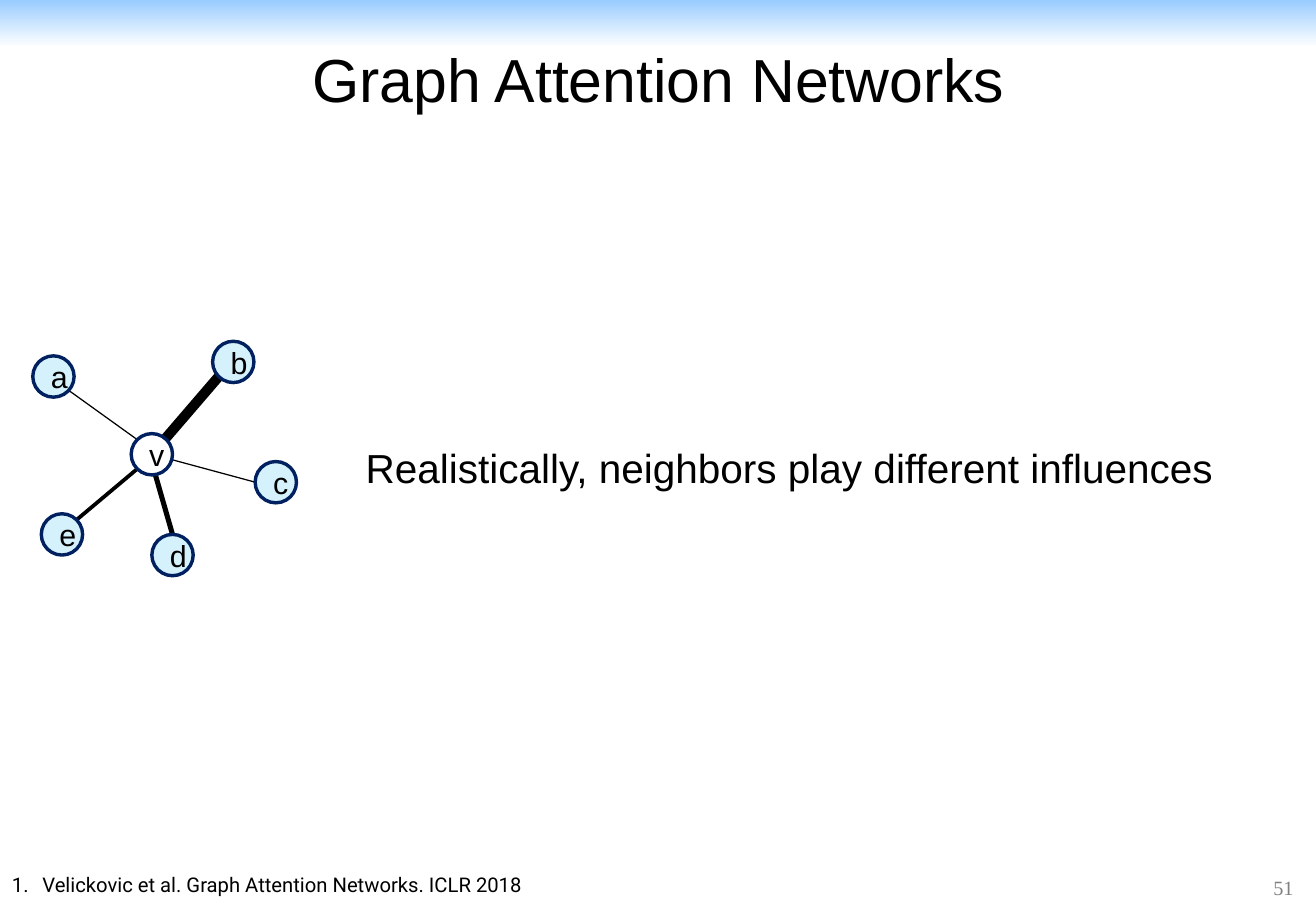
from pptx import Presentation, util as u
from pptx.dml.color import RGBColor
from pptx.enum import shapes, text
from pptx.oxml.ns import qn
from lxml import etree

HUES = {"ink": "000000", "paper": "FFFFFF", "sky": "99CCFF",
        "node": "00B0F0", "rim": "002060", "gray": "808080"}
SIZE = 0.34

# Neighbors: name, left, top
NODES = [("a", 0.27, 2.93), ("e", 0.34, 4.23), ("b", 1.75, 2.81),
         ("d", 1.25, 4.4), ("c", 2.1, 3.8)]
# Links: start, end, weight in points
LINKS = [((1.13, 3.62), (0.56, 3.21), 0.75),
         ((1.13, 3.86), (0.63, 4.28), 2.25),
         ((1.25, 3.74), (1.8, 3.1), 6),
         ((1.42, 4.4), (1.23, 3.74), 3),
         ((2.1, 3.97), (1.25, 3.74), 0.75)]


def hue(name):
    return RGBColor.from_string(HUES[name])


def inches(*nums):
    return [u.Inches(n) for n in nums]


def write(frame, words, size=18, font="Arial", ink="ink", center=False,
          middle=False, wrap=True, number=False):
    frame.word_wrap = wrap
    frame.vertical_anchor = (text.MSO_ANCHOR.MIDDLE if middle
                             else text.MSO_ANCHOR.TOP)
    para = frame.paragraphs[0]
    para.alignment = text.PP_ALIGN.CENTER if center else text.PP_ALIGN.LEFT
    if number:
        props = para._p.get_or_add_pPr()
        props.set("marL", str(u.Inches(0.25)))
        props.set("indent", str(u.Inches(-0.25)))
        etree.SubElement(props, qn("a:buAutoNum"), type="arabicPeriod")
    run = para.add_run()
    run.text = words
    run.font.size = u.Pt(size)
    run.font.name = font
    run.font.color.rgb = hue(ink)


def label(slide, box, words, **style):
    write(slide.shapes.add_textbox(*inches(*box)).text_frame, words, **style)


def band(slide):
    bar = slide.shapes.add_shape(shapes.MSO_SHAPE.RECTANGLE,
                                 *inches(0, 0, 10.83, 0.39))
    bar.shadow.inherit = False
    bar.line.fill.background()
    bar.fill.gradient()
    bar.fill.gradient_angle = 270
    for stop, name, place in zip(bar.fill.gradient_stops,
                                 ("sky", "paper"), (0, 1)):
        stop.color.rgb = hue(name)
        stop.position = place


def link(slide, start, end, weight):
    line = slide.shapes.add_connector(shapes.MSO_CONNECTOR.STRAIGHT,
                                      *inches(*start, *end))
    line.line.color.rgb = hue("ink")
    line.line.width = u.Pt(weight)
    etree.SubElement(line._element.spPr, qn("a:effectLst"))


def node(slide, name, left, top, fill="node", alpha=17):
    disc = slide.shapes.add_shape(shapes.MSO_SHAPE.OVAL,
                                  *inches(left, top, SIZE, SIZE))
    disc.shadow.inherit = False
    disc.fill.solid()
    disc.fill.fore_color.rgb = hue(fill)
    if alpha < 100:
        tint = disc._element.spPr.find(qn("a:solidFill"))[0]
        etree.SubElement(tint, qn("a:alpha"), val=str(alpha * 1000))
    disc.line.color.rgb = hue("rim")
    disc.line.width = u.Pt(2)
    write(disc.text_frame, name, center=True, middle=True)


def main():
    deck = Presentation()
    deck.slide_width, deck.slide_height = inches(10.83, 7.5)
    slide = deck.slides.add_slide(deck.slide_layouts[6])

    # Header and page number
    band(slide)
    label(slide, (10.38, 7.06, 0.79, 0.5), "51", size=12,
          font="Times New Roman", ink="gray", middle=True, wrap=False)
    label(slide, (0.3, 0.21, 10.24, 0.87), "Graph Attention Networks",
          size=36, center=True, middle=True)

    # Graph
    for start, end, weight in LINKS:
        link(slide, start, end, weight)
    for name, left, top in NODES:
        node(slide, name, left, top)
    node(slide, "v", 1.08, 3.57, fill="paper", alpha=100)

    # Message and reference
    label(slide, (2.91, 3.6, 7.25, 0.5),
          "Realistically, neighbors play different influences",
          size=24, wrap=False)
    label(slide, (0, 7.13, 7.79, 0.3),
          "Velickovic et al. Graph Attention Networks. ICLR 2018",
          size=12, font="Roboto", number=True)

    deck.save("out.pptx")


if __name__ == "__main__":
    main()
